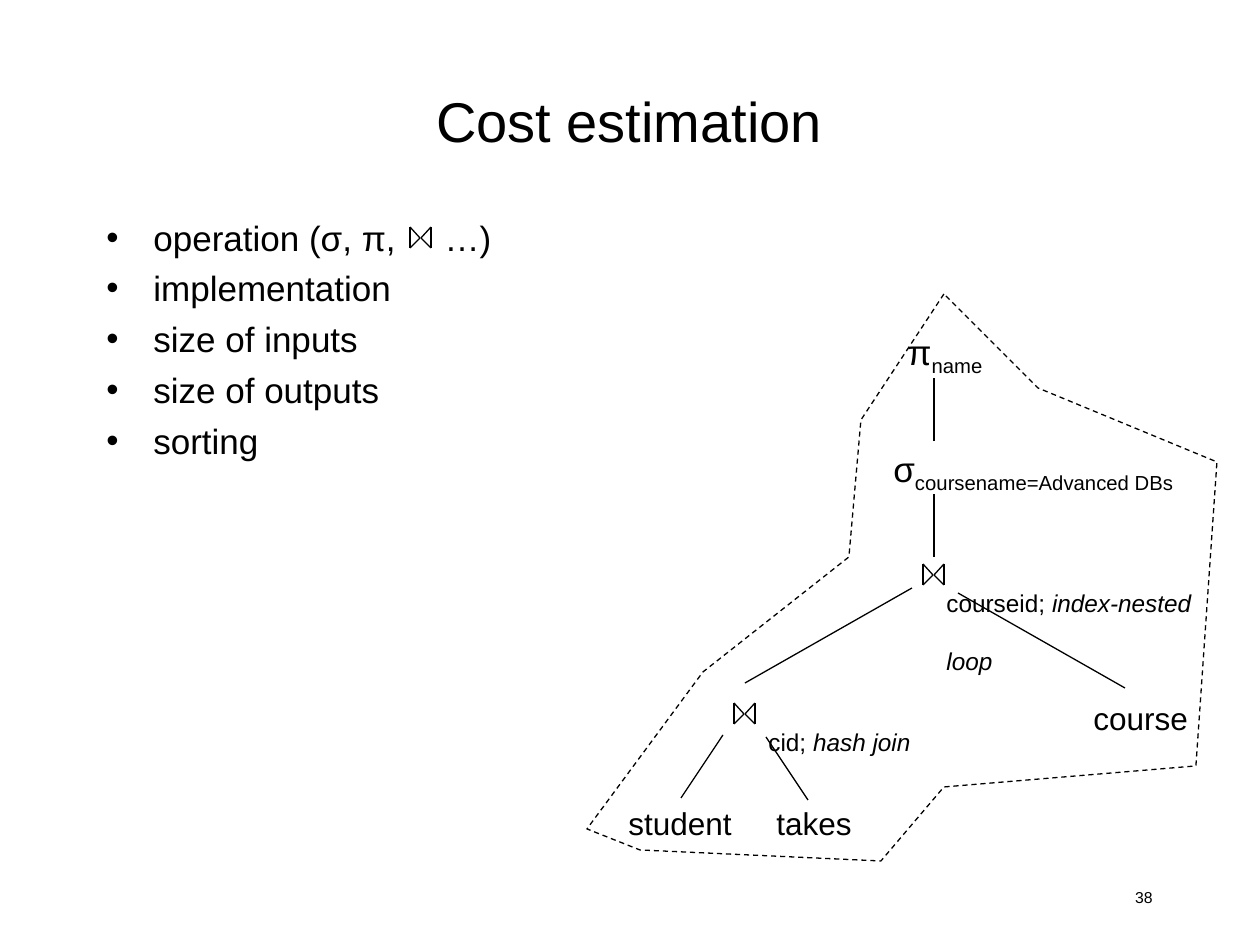
"""Build the cost estimation slide with its query plan tree."""
from lxml.etree import SubElement
from pptx import Presentation
from pptx.dml.color import RGBColor
from pptx.enum.dml import MSO_LINE_DASH_STYLE as Dash
from pptx.enum.shapes import MSO_CONNECTOR_TYPE as Link
from pptx.enum.text import MSO_ANCHOR as Anchor, PP_ALIGN as Align
from pptx.oxml.ns import qn
from pptx.util import Emu, Pt

PX = 914400 / 126
COLORS = {"ink": "000000"}
INK = RGBColor.from_string(COLORS["ink"])

deck = Presentation()
deck.slide_width, deck.slide_height = Emu(round(1260 * PX)), Emu(round(945 * PX))
page = deck.slides.add_slide(deck.slide_layouts[6])


def add_text(area, paragraphs, size, frame_format={}, para_format={}):
    box = page.shapes.add_textbox(*[Emu(round(value * PX)) for value in area])
    frame = box.text_frame
    for name, value in {"word_wrap": True, **frame_format}.items():
        setattr(frame, name, value)
    for number, spans in enumerate(paragraphs):
        para = frame.add_paragraph() if number else frame.paragraphs[0]
        for name, value in para_format.items():
            setattr(para, name, value)
        for text, marks in spans:
            span = para.add_run()
            span.text = text
            font_format = {"name": "Arial", "size": Pt(size), "italic": "italic" in marks}
            for name, value in font_format.items():
                setattr(span.font, name, value)
            span.font.color.rgb = INK
            if "sub" in marks:
                span.font._element.set("baseline", "-25000")
            if "wide" in marks:
                span.font._element.set("spc", "2220")
    return box


def add_line(*ends):
    line = page.shapes.add_connector(Link.STRAIGHT, *[Emu(round(value * PX)) for value in ends])
    line.line.color.rgb = INK
    line.line.width = Pt(0.75)
    SubElement(line._element.spPr, qn("a:effectLst"))
    return line


add_text((903, 882, 262, 42), [[("38", "")]], 9, para_format={"alignment": Align.RIGHT})
add_text((94, 42, 1071, 157), [[("Cost estimation", "")]], 32,
         {"vertical_anchor": Anchor.MIDDLE}, {"alignment": Align.CENTER})

factors = [[("operation (σ, π,", ""), (" ", "wide"), ("…)", "")]]
factors += [[(text, "")] for text in ("implementation", "size of inputs", "size of outputs", "sorting")]
factor_box = add_text((94, 210, 1071, 651), factors, 20, para_format={"space_before": Pt(5)})
for para in factor_box.text_frame.paragraphs:
    props = para._p.get_or_add_pPr()
    props.set("marL", str(round(47 * PX)))
    props.set("indent", str(round(-47 * PX)))
    SubElement(props, qn("a:buFont")).set("typeface", "Arial")
    SubElement(props, qn("a:buChar")).set("char", "•")

tree_labels = [
    ((881, 441, 378, 60), 20, True, [("σ", ""), ("coursename=Advanced DBs", "sub")]),
    ((895, 324, 100, 60), 20, False, [("π", ""), ("name", "sub")]),
    ((756, 693, 168, 71), 24, False, [("cid; ", "sub"), ("hash join", "sub italic")]),
    ((934, 554, 297, 127), 24, True, [("courseid; ", "sub"), ("index-nested loop", "sub italic")]),
    ((764, 798, 101, 50), 18, False, [("takes", "")]),
    ((1081, 693, 120, 50), 18, False, [("course", "")]),
]
for area, size, wrap, spans in tree_labels:
    gap = {"space_before": Pt(5)} if spans[0][0] == "σ" else {}
    add_text(area, [spans], size, {"word_wrap": wrap}, gap)
student = add_text((616, 798, 130, 50), [[("student", "")]], 18, {"word_wrap": False})

for left, top in [(410, 227), (734, 703), (923, 564)]:
    right, bottom, middle = left + 21, top + 21, top + 11
    for side, tip in [(left, left + 10), (right, left + 11)]:
        add_line(side, top, side, bottom)
        add_line(side, top, tip, middle)
        add_line(side, bottom, tip, middle)

for ends in [(766, 737, 808, 800), (745, 683, 912, 588), (1125, 688, 958, 593),
             (934, 557, 934, 494), (934, 441, 934, 378)]:
    add_line(*ends)
add_line(723, 735, 681, 798).end_connect(student, 0)

corners = [(944, 294), (861, 420), (849, 557), (703, 672), (587, 829), (640, 850),
           (881, 861), (944, 787), (1196, 766), (1217, 462), (1038, 388)]
builder = page.shapes.build_freeform(*corners[0], scale=PX)
builder.add_line_segments(corners[1:], close=True)
outline = builder.convert_to_shape()
outline.shadow.inherit = False
outline.fill.background()
outline.line.color.rgb = INK
for name, value in {"width": Pt(0.75), "dash_style": Dash.DASH}.items():
    setattr(outline.line, name, value)

deck.save("out.pptx")
